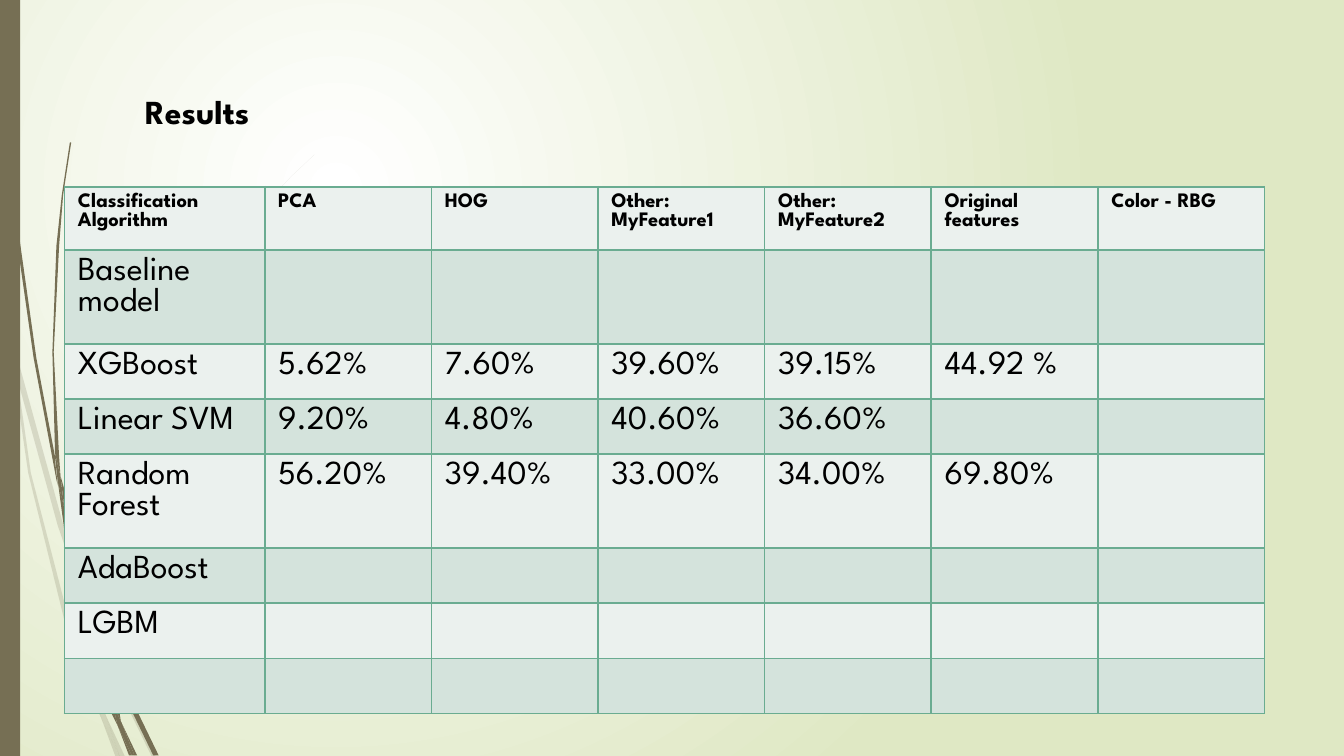
import pptx
import pptx.util
import pptx.dml.color
import pptx.enum.text
import pptx.enum.shapes
import pptx.oxml
import pptx.oxml.ns

W, H = pptx.util.Inches(10), pptx.util.Inches(5.625)
UNIT = W // 1000  # the stems are drawn on a grid 1000 units wide
FONT = "League Spartan"
NS = pptx.oxml.ns.nsdecls("a")


def paint(part, tint):
    """Give a solid hex colour to a fill or a font."""
    if hasattr(part, "solid"):
        part.solid()
        part = part.fore_color
    else:
        part = part.color
    part.rgb = pptx.dml.color.RGBColor.from_string(tint)


def write(frame, text, size, bold):
    run = frame.paragraphs[0].add_run()
    run.text = text
    run.font.name = FONT
    run.font.size = pptx.util.Pt(size)
    run.font.bold = bold
    paint(run.font, "000000")


deck = pptx.Presentation()
deck.slide_width, deck.slide_height = W, H
slide = deck.slides.add_slide(deck.slide_layouts[5])

# Background: round glow centred in the upper left
back = slide.background.fill
back.gradient()
for stop, tint in zip(back.gradient_stops, ("FFFFFF", "DFE8C4")):
    stop.color.rgb = pptx.dml.color.RGBColor.from_string(tint)
    stop.position = 0 if tint == "FFFFFF" else 1
grad = slide.background._cSld.find(".//" + pptx.oxml.ns.qn("a:gradFill"))
for line in grad.findall(pptx.oxml.ns.qn("a:lin")):
    grad.remove(line)
grad.find(pptx.oxml.ns.qn("a:gsLst")).addnext(pptx.oxml.parse_xml(
    f'<a:path {NS} path="circle"><a:fillToRect l="50000" t="50000" '
    'r="100000" b="100000"/></a:path>'))

# Grass stems: pale ones behind, dark ones in front
pale = [
    [(8, 263), (6, 241), (0, 211), (0, 224), (8, 258)],
    [(43, 391), (63, 449), (64, 440), (47, 390), (11, 259), (13, 282)],
    [(69, 455), (66, 447), (66, 458), (92, 520), (113, 563), (116, 563),
     (95, 519)],
    [(89, 563), (93, 563), (79, 533)],
    [(70, 512), (52, 464), (23, 352), (13, 282), (8, 263), (21, 352),
     (49, 466), (69, 520), (76, 536), (74, 530)],
    [(63, 449), (65, 485), (70, 512), (72, 519), (79, 533), (78, 530),
     (68, 484), (66, 458), (66, 456)],
    [(66, 438), (83, 347), (120, 261), (171, 184), (201, 148), (217, 131),
     (234, 115), (217, 131), (201, 148), (171, 183), (118, 261), (81, 346),
     (64, 438), (64, 440), (66, 447)],
    [(76, 536), (86, 563), (89, 563)],
    [(66, 456), (66, 458), (66, 447), (64, 440), (63, 449)],
    [(72, 519), (70, 512), (74, 530), (76, 536), (89, 563), (79, 533)],
]
dark = [
    [(5, 82), (12, 175), (25, 266), (42, 357), (43, 361), (41, 343),
     (41, 340), (27, 266), (14, 174), (6, 82), (3, 36), (3, 0), (2, 0),
     (3, 36)],
    [(66, 444), (80, 484), (80, 475), (80, 473), (70, 443), (45, 354),
     (48, 379)],
    [(85, 487), (83, 481), (83, 492), (99, 531), (114, 562), (118, 562),
     (102, 529)],
    [(83, 519), (73, 493), (54, 417), (48, 379), (43, 358), (51, 418),
     (70, 494), (83, 531), (88, 541), (87, 538)],
    [(45, 354), (44, 340), (40, 262), (44, 183), (47, 145), (53, 106),
     (52, 106), (46, 145), (42, 183), (39, 262), (41, 337), (45, 354)],
    [(100, 562), (102, 562), (91, 539)],
    [(43, 358), (48, 379), (45, 354), (41, 337), (41, 340)],
    [(83, 475), (94, 414), (119, 357), (153, 305), (173, 281), (184, 269),
     (196, 258), (195, 258), (184, 269), (173, 280), (153, 304), (117, 356),
     (92, 413), (80, 473), (83, 481)],
    [(88, 541), (96, 562), (98, 562)],
    [(80, 484), (83, 519), (87, 530), (91, 539), (90, 537), (83, 492),
     (81, 488)],
    [(80, 484), (81, 488), (83, 492), (83, 481), (80, 473), (80, 475)],
    [(87, 530), (83, 519), (87, 538), (88, 541), (98, 562), (100, 562),
     (91, 539)],
]
for stems, clear in ((pale, True), (dark, False)):
    for first, *rest in stems:
        pen = slide.shapes.build_freeform(*first, scale=UNIT)
        pen.add_line_segments(rest, close=True)
        stem = pen.convert_to_shape()
        stem.shadow.inherit = False
        stem.line.fill.background()
        paint(stem.fill, "766F54")
        if clear:
            tone = stem._element.spPr.find(".//" + pptx.oxml.ns.qn("a:srgbClr"))
            tone.append(pptx.oxml.parse_xml(f'<a:alpha {NS} val="20000"/>'))

# Side bar
bar = slide.shapes.add_shape(
    pptx.enum.shapes.MSO_SHAPE.RECTANGLE, 0, 0, int(W * 0.015), H)
bar.shadow.inherit = False
bar.line.fill.background()
paint(bar.fill, "766F54")

# Title
title = slide.shapes.title
title.left, title.top = int(W * 0.098), int(H * 0.112)
title.width, title.height = int(W * 0.618), int(H * 0.071)
frame = title.text_frame
frame.word_wrap = True
frame.auto_size = pptx.enum.text.MSO_AUTO_SIZE.NONE
frame.vertical_anchor = pptx.enum.text.MSO_ANCHOR.BOTTOM
frame.paragraphs[0].alignment = pptx.enum.text.PP_ALIGN.LEFT
write(frame, "Results", 18, True)

# Results table
rows = [
    ["Classification Algorithm", "PCA", "HOG", "Other: MyFeature1",
     "Other: MyFeature2", "Original features", "Color - RBG"],
    ["Baseline model"],
    ["XGBoost", "5.62%", "7.60%", "39.60%", "39.15%", "44.92 %"],
    ["Linear SVM", "9.20%", "4.80%", "40.60%", "36.60%"],
    ["Random Forest", "56.20%", "39.40%", "33.00%", "34.00%", "69.80%"],
    ["AdaBoost"],
    ["LGBM"],
    [],
]
highs = [0.47, 0.7, 0.41, 0.41, 0.7, 0.41, 0.41, 0.41]
wides = [1.49] + [1.24] * 6
grid = slide.shapes.add_table(
    len(rows), len(wides), int(W * 0.048), int(H * 0.247),
    pptx.util.Inches(sum(wides)), pptx.util.Inches(sum(highs))).table
grid.first_row = grid.horz_banding = False
for col, wide in zip(grid.columns, wides):
    col.width = pptx.util.Inches(wide)
for r, (row, high) in enumerate(zip(rows, highs)):
    grid.rows[r].height = pptx.util.Inches(high)
    for c in range(len(wides)):
        cell = grid.cell(r, c)
        props = cell._tc.get_or_add_tcPr()
        for side in "LRTB":
            props.append(pptx.oxml.parse_xml(
                f'<a:ln{side} {NS} w="12700"><a:solidFill><a:srgbClr '
                f'val="6AAC91"/></a:solidFill></a:ln{side}>'))
        paint(cell.fill, "D4E3DC" if r % 2 else "EBF1EE")
        if c < len(row):
            write(cell.text_frame, row[c], 18 if r else 11, r == 0)

deck.save("out.pptx")
